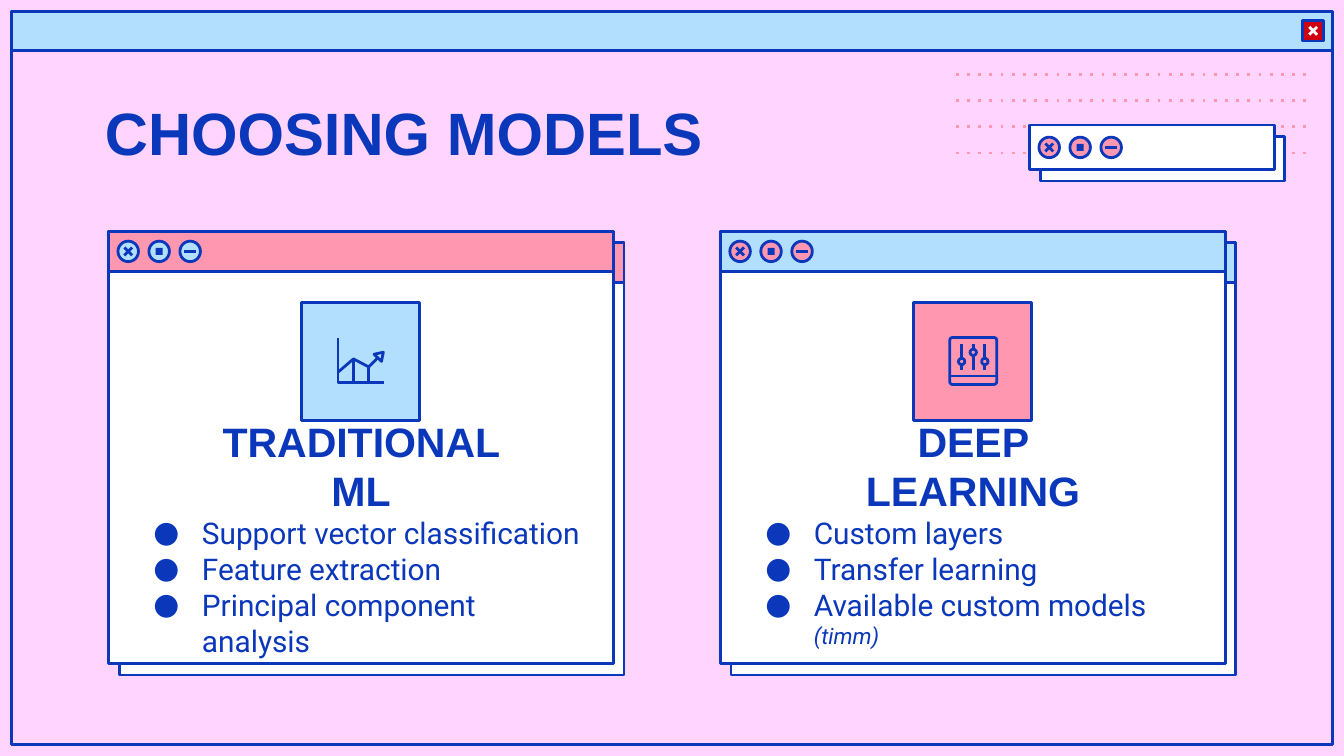
import pptx
import pptx.dml.color
import pptx.enum.dml
import pptx.enum.shapes
import pptx.enum.text
import pptx.oxml
import pptx.oxml.ns
import pptx.util
from dataclasses import dataclass

Pt = pptx.util.Pt
RGB = pptx.dml.color.RGBColor.from_string
SHAPE = pptx.enum.shapes.MSO_SHAPE
ALIGN = pptx.enum.text.PP_ALIGN
ANCHOR = pptx.enum.text.MSO_ANCHOR


@dataclass(frozen=True)
class Theme:
    ink: str = "0B37BA"
    backdrop: str = "FFD4FF"
    sky: str = "B3DFFF"
    pink: str = "FF97B1"
    red: str = "CF0011"
    white: str = "FFFFFF"
    head_font: str = "Arial"
    body_font: str = "Roboto"
    title_size: int = 32
    heading_size: int = 22
    body_size: int = 16
    note_size: int = 12
    stroke: float = 1.5


theme = Theme()
prs = pptx.Presentation()
prs.slide_width, prs.slide_height = Pt(720), Pt(405)
slide = prs.slides.add_slide(prs.slide_layouts.get_by_name("Comparison"))
slide.background.fill.solid()
slide.background.fill.fore_color.rgb = RGB(theme.backdrop)
shapes = slide.shapes


def add_box(kind, x, y, w, h, fill=None):
    """Add a preset shape with an ink outline; no fill leaves it open."""
    sp = shapes.add_shape(kind, Pt(x), Pt(y), Pt(w), Pt(h))
    sp.shadow.inherit = False
    sp.line.color.rgb = RGB(theme.ink)
    sp.line.width = Pt(theme.stroke)
    if fill:
        sp.fill.solid()
        sp.fill.fore_color.rgb = RGB(fill)
    else:
        sp.fill.background()
    return sp


def add_line(x1, y1, x2, y2, color=theme.ink):
    ln = shapes.add_connector(pptx.enum.shapes.MSO_CONNECTOR.STRAIGHT,
                              Pt(x1), Pt(y1), Pt(x2), Pt(y2))
    ln.line.color.rgb = RGB(color)
    ln.line.width = Pt(theme.stroke)
    ln.element.spPr.append(pptx.oxml.parse_xml(
        f'<a:effectLst {pptx.oxml.ns.nsdecls("a")}/>'))
    return ln


# Outer browser frame with its close button
add_box(SHAPE.RECTANGLE, 6, 6, 708, 393)
add_box(SHAPE.RECTANGLE, 6, 6, 708, 21, theme.sky)
add_box(SHAPE.RECTANGLE, 698, 11, 11, 11, theme.red)
for slope in (-1, 1):
    add_line(701.4, 16.5 - 2.1 * slope, 705.6, 16.5 + 2.1 * slope, theme.white)

# Dotted rows behind the small window
for row in range(4):
    dots = add_line(512, 40 + 14 * row, 703, 40 + 14 * row, theme.pink)
    dots.line.dash_style = pptx.enum.dml.MSO_LINE.ROUND_DOT
    dots.element.xpath(".//a:prstDash")[0].set("val", "dot")

# Windows: x, y, width, height, bar height, bar fill, button fill
panel_xs = (58.2, 386)
panel_w = 270.5
windows = [
    (panel_xs[0], 124, panel_w, 231.7, 21.4, theme.pink, theme.sky),
    (panel_xs[1], 124, panel_w, 231.7, 21.4, theme.sky, theme.pink),
    (551.6, 67, 131, 24, 24, theme.white, theme.pink),
]
for x, y, w, h, bar_h, bar_fill, button_fill in windows:
    for left, top in ((x + 5.6, y + 6), (x, y)):
        add_box(SHAPE.RECTANGLE, left, top, w, h, theme.white)
        if bar_h < h:
            add_box(SHAPE.RECTANGLE, left, top, w, bar_h, bar_fill)
    close_x, square_x, dash_x = (x + 10.5 + 16.6 * i for i in range(3))
    cy = y + bar_h / 2
    for cx in (close_x, square_x, dash_x):
        add_box(SHAPE.OVAL, cx - 5.5, cy - 5.5, 11, 11, button_fill)
    for slope in (-1, 1):
        add_line(close_x - 2.1, cy - 2.1 * slope, close_x + 2.1, cy + 2.1 * slope)
    square = add_box(SHAPE.RECTANGLE, square_x - 1.9, cy - 1.9, 3.8, 3.8, theme.ink)
    square.line.fill.background()
    add_line(dash_x - 3.1, cy, dash_x + 3.1, cy)

# Icon tiles
for x, fill in zip(panel_xs, (theme.sky, theme.pink)):
    add_box(SHAPE.RECTANGLE, x + panel_w / 2 - 32, 162, 63.5, 63.5, fill)

# Growth chart icon: axes, trend, arrowhead
for points, closed in (
    ([(181.1, 181), (181.1, 205), (206, 205)], False),
    ([(181.1, 199.4), (189.4, 192.3), (197.6, 196.6), (202.8, 191.2)], False),
    ([(200.4, 189.8), (205.4, 188.7), (204.4, 193.6)], True),
):
    points = [(Pt(px), Pt(py)) for px, py in points]
    fb = shapes.build_freeform(*points[0])
    fb.add_line_segments(points[1:], close=closed)
    sp = fb.convert_to_shape()
    sp.shadow.inherit = False
    sp.fill.background()
    sp.line.color.rgb = RGB(theme.ink)
    sp.line.width = Pt(theme.stroke)
for x, top in ((189.4, 192.3), (197.6, 196.6)):
    add_line(x, top, x, 205)

# Slider panel icon
case = add_box(SHAPE.ROUNDED_RECTANGLE, 508.8, 180.8, 25.2, 25.2)
case.adjustments[0] = 0.06
add_line(508.8, 201.5, 534, 201.5)
for x, knob_y in ((515.2, 193.7), (521.4, 188.8), (527.6, 193.7)):
    add_line(x, 184.2, x, 198.4)
    add_box(SHAPE.OVAL, x - 1.7, knob_y - 1.7, 3.4, 3.4, theme.pink)

# Text: placeholder index, left, top, width, height, paragraphs
title, headings, lists = 0, (1, 3), (2, 4)
texts = [(title, 49, 44, 503, 47, ["CHOOSING MODELS"])]
columns = [
    ("TRADITIONAL ML", ["Support vector classification", "Feature extraction",
                        "Principal component analysis"]),
    ("DEEP LEARNING", ["Custom layers", "Transfer learning",
                       "Available custom models "]),
]
for x, heading_idx, list_idx, (heading, items) in zip(panel_xs, headings, lists, columns):
    texts.append((heading_idx, x + panel_w / 2 - 95.5, 234.7, 191, 29.5, [heading]))
    texts.append((list_idx, x + 6.8, 268.6, 257, 82, items))

for idx, x, y, w, h, lines in texts:
    sp = next(ph for ph in slide.placeholders if ph.placeholder_format.idx == idx)
    shapes.element.append(sp.element)  # bring in front of the windows
    sp.left, sp.top, sp.width, sp.height = Pt(x), Pt(y), Pt(w), Pt(h)
    tf = sp.text_frame
    tf.text = "\n".join(lines)
    tf.word_wrap = True
    tf.auto_size = pptx.enum.text.MSO_AUTO_SIZE.NONE
    tf.margin_left = tf.margin_right = tf.margin_top = tf.margin_bottom = Pt(7.2)
    tf.vertical_anchor = ANCHOR.MIDDLE if idx in headings else ANCHOR.TOP
    if idx == lists[1]:
        note = tf.paragraphs[-1].add_run()
        note.text = "(timm)"
    for p in tf.paragraphs:
        p.alignment = ALIGN.CENTER if idx in headings else ALIGN.LEFT
        p.space_before = Pt(0)
        if idx in headings:
            p.line_spacing = Pt(26.5)
        for r in p.runs:
            r.font.name = theme.body_font if idx in lists else theme.head_font
            r.font.size = Pt(theme.title_size if idx == title else
                             theme.heading_size if idx in headings else theme.body_size)
            r.font.bold = idx not in lists
            r.font.color.rgb = RGB(theme.ink)
        if idx in lists:
            pPr = p._p.get_or_add_pPr()
            pPr.set("marL", str(Pt(36)))
            pPr.set("indent", str(-Pt(26)))
            for tag in (f'<a:buClr {{}}><a:srgbClr val="{theme.ink}"/></a:buClr>',
                        f'<a:buFont {{}} typeface="{theme.body_font}"/>',
                        '<a:buChar {} char="●"/>'):
                pPr.append(pptx.oxml.parse_xml(tag.format(pptx.oxml.ns.nsdecls("a"))))

note.font.size = Pt(theme.note_size)
note.font.italic = True

prs.save("out.pptx")
